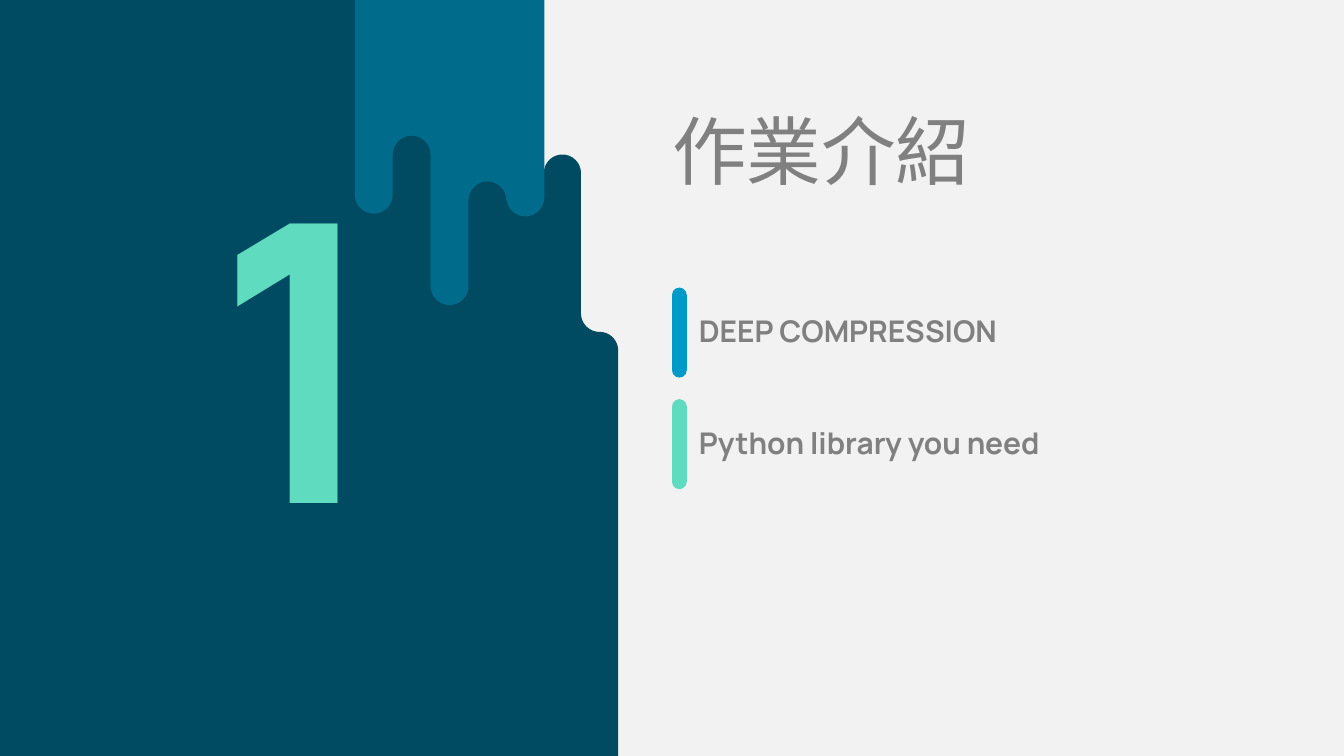
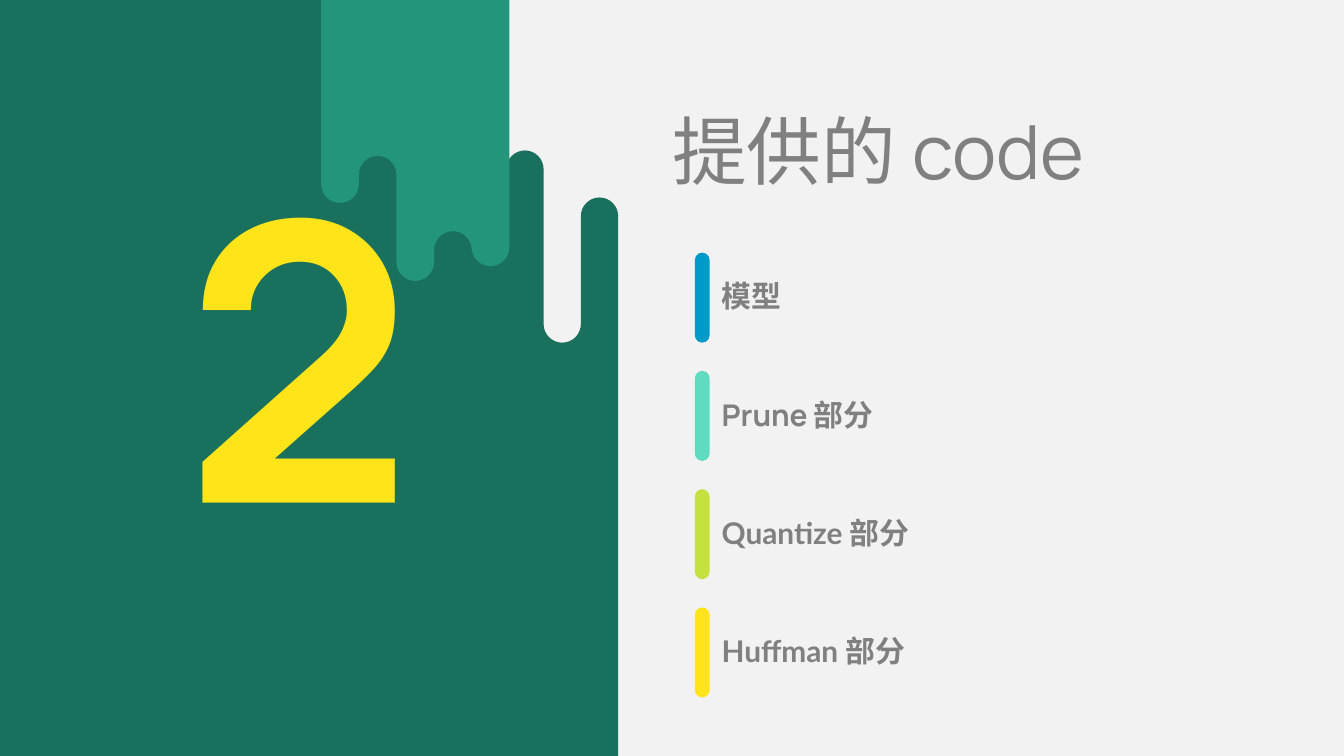
import math
from dataclasses import dataclass

from pptx import Presentation
from pptx import util as u
from pptx.dml.color import RGBColor
from pptx.enum import shapes, text

COLUMNS = 10
SLIDE_WIDTH = u.Inches(COLUMNS)
SLIDE_HEIGHT = SLIDE_WIDTH * 9 // 16
COLUMN = SLIDE_WIDTH // COLUMNS
PANEL_RIGHT = 4.6
PANEL_BOTTOM = SLIDE_HEIGHT / COLUMN


@dataclass(frozen=True)
class Theme:
    """Colours, fonts and type sizes of the section slides."""

    background: str = "F2F2F2"
    grey: str = "808080"
    navy: str = "004B62"
    ocean: str = "006B8B"
    forest: str = "19705C"
    emerald: str = "22957B"
    mint: str = "5FDBBF"
    yellow: str = "FEE419"
    bars: tuple = ("009AC9", "5FDBBF", "C5E041", "FEE419")
    font: str = "Manrope"
    item_font: str = "Lato"
    title_size: int = 40
    item_size: int = 16
    number_size: int = 208


THEME = Theme()


def grid(*lengths):
    """Turn lengths in grid columns into EMU."""
    return [round(length * COLUMN) for length in lengths]


def paint(shape, color):
    """Give a shape a plain fill without line or shadow."""
    shape.fill.solid()
    shape.fill.fore_color.rgb = RGBColor.from_string(color)
    shape.line.fill.background()
    shape.shadow.inherit = False


def arc(center_x, center_y, radius, start, end, steps=16):
    """Return points along a circular arc, with angles in degrees."""
    angles = [math.radians(start + (end - start) * i / steps) for i in range(steps + 1)]
    return [(center_x + radius * math.cos(a), center_y + radius * math.sin(a)) for a in angles]


def drip_edge(left, right, tips):
    """Return a dripping edge of equal columns, each a drop, an arch or a step."""
    radius = (right - left) / len(tips) / 2
    points = []
    for index, (kind, tip) in enumerate(tips):
        center = left + (2 * index + 1) * radius
        if kind == "drop":
            points += arc(center, tip - radius, radius, 180, 0)
        elif kind == "arch":
            points += arc(center, tip + radius, radius, 180, 360)
        else:
            points += arc(center, tip - radius, radius, 180, 90)
            points += arc(center, tip + radius, radius, -90, 0)
    return points


def add_outline(slide, points, color):
    """Draw a closed filled outline."""
    first, *others = [grid(*point) for point in points]
    builder = slide.shapes.build_freeform(*first, scale=1.0)
    builder.add_line_segments(others, close=True)
    paint(builder.convert_to_shape(), color)


def add_panel(slide, left, tips, color):
    """Draw the dark panel, whose top right edge drips from left onwards."""
    corners = [(PANEL_RIGHT, PANEL_BOTTOM), (0, PANEL_BOTTOM), (0, 0), (left, 0)]
    add_outline(slide, drip_edge(left, PANEL_RIGHT, tips) + corners, color)


def add_paint_drips(slide, left, right, top, tips, color):
    """Draw the lighter paint that runs down over the panel."""
    add_outline(slide, drip_edge(left, right, tips) + [(right, top), (left, top)], color)


def add_text(slide, box, runs, size, color=THEME.grey, bold=False, space=10, insets=None):
    """Add one paragraph made of (words, font) runs and return its frame."""
    frame = slide.shapes.add_textbox(*grid(*box)).text_frame
    frame.word_wrap = True
    if insets:
        (frame.margin_left, frame.margin_top,
         frame.margin_right, frame.margin_bottom) = grid(*insets)
    paragraph = frame.paragraphs[0]
    paragraph.line_spacing = 0.9
    paragraph.space_before = u.Pt(space)
    for words, font in runs:
        run = paragraph.add_run()
        run.text = words
        run.font.name = font
        run.font.size = u.Pt(size)
        run.font.bold = bold
        run.font.color.rgb = RGBColor.from_string(color)
    return frame


def add_title(slide, title):
    """Add the section title."""
    add_text(slide, (5, 0.81, 4.49, 0.63), [(title, THEME.font)], THEME.title_size,
             insets=(0, 0.05, 0.1, 0.05))


def add_number(slide, number, color):
    """Add the huge section number on the panel."""
    frame = add_text(slide, (-0.07, 1.1, 4.59, 3.42), [(number, THEME.font)],
                     THEME.number_size, color, bold=True)
    frame.vertical_anchor = text.MSO_ANCHOR.MIDDLE
    frame.paragraphs[0].alignment = text.PP_ALIGN.CENTER


def add_items(slide, left, top, pitch, items):
    """Add the items, each beside a rounded colour bar."""
    for row, (runs, color) in enumerate(zip(items, THEME.bars)):
        bar_top = top + row * pitch
        add_text(slide, (left + 0.2, bar_top + 0.14, 3.23, 0.33), runs, THEME.item_size,
                 bold=True, space=7.5, insets=(0, 0.08, 0, 0.08))
        bar = slide.shapes.add_shape(shapes.MSO_SHAPE.ROUNDED_RECTANGLE,
                                     *grid(left, bar_top, 0.11, 0.67))
        bar.adjustments[0] = 0.5
        paint(bar, color)


def add_section(presentation):
    """Add a blank slide with the shared background."""
    slide = presentation.slides.add_slide(presentation.slide_layouts[6])
    slide.background.fill.solid()
    slide.background.fill.fore_color.rgb = RGBColor.from_string(THEME.background)
    return slide


def add_introduction(presentation):
    """Build the section on the assignment."""
    slide = add_section(presentation)
    add_panel(slide, 3.77, [("drop", 1.57), ("arch", 1.15), ("step", 2.47)], THEME.navy)
    add_items(slide, 5, 2.14, 0.83, [
        [("DEEP COMPRESSION", THEME.font)],
        [("Python library you need", THEME.font)],
    ])
    add_title(slide, "作業介紹")
    add_number(slide, "1", THEME.mint)
    add_paint_drips(slide, 2.64, 4.05, -1.57, [
        ("drop", 1.59), ("arch", 1.01), ("drop", 2.27), ("arch", 1.35), ("drop", 1.61),
    ], THEME.ocean)


def add_provided_code(presentation):
    """Build the section on the code that is provided."""
    slide = add_section(presentation)
    add_panel(slide, 3.49, [
        ("drop", 1.76), ("arch", 1.12), ("drop", 2.55), ("arch", 1.47),
    ], THEME.forest)
    add_title(slide, "提供的 code")
    add_paint_drips(slide, 2.39, 3.79, -1.16, [
        ("drop", 1.51), ("arch", 1.16), ("drop", 2.09), ("arch", 1.72), ("drop", 1.98),
    ], THEME.emerald)
    add_number(slide, "2", THEME.yellow)
    add_items(slide, 5.17, 1.88, 0.88, [
        [("模型", THEME.font)],
        [("Prune 部分", THEME.font)],
        [("Quantize ", THEME.item_font), ("部分", THEME.font)],
        [("Huffman 部分", THEME.item_font)],
    ])


def main():
    """Build and save the presentation."""
    presentation = Presentation()
    presentation.slide_width = SLIDE_WIDTH
    presentation.slide_height = SLIDE_HEIGHT
    add_introduction(presentation)
    add_provided_code(presentation)
    presentation.save("out.pptx")


if __name__ == "__main__":
    main()
